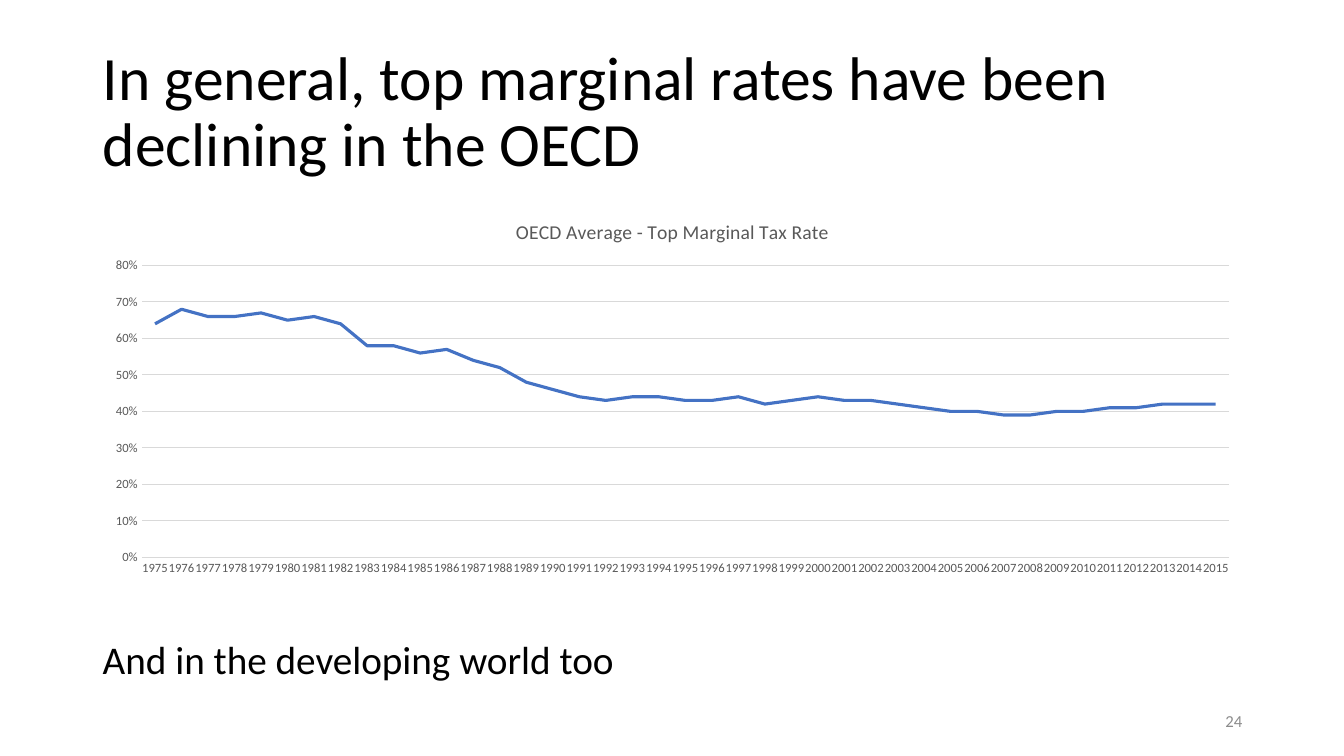
import pptx
import pptx.chart.data
import pptx.dml.color
import pptx.enum.chart
import pptx.enum.text
import pptx.util

Inches = pptx.util.Inches
Pt = pptx.util.Pt
RGBColor = pptx.dml.color.RGBColor
Align = pptx.enum.text.PP_ALIGN
Anchor = pptx.enum.text.MSO_ANCHOR

TITLE = "In general, top marginal rates have been declining in the OECD"
CLOSING = "And in the developing world too"
PAGE_NUMBER = "24"
CHART_TITLE = "OECD Average - Top Marginal Tax Rate"
FIRST_YEAR = 1975
RATES = [
    0.64, 0.68, 0.66, 0.66, 0.67, 0.65, 0.66, 0.64, 0.58, 0.58, 0.56,
    0.57, 0.54, 0.52, 0.48, 0.46, 0.44, 0.43, 0.44, 0.44, 0.43,
    0.43, 0.44, 0.42, 0.43, 0.44, 0.43, 0.43, 0.42, 0.41, 0.40,
    0.40, 0.39, 0.39, 0.40, 0.40, 0.41, 0.41, 0.42, 0.42, 0.42,
]

FONT = "Calibri"
BLACK = RGBColor(0, 0, 0)
GRAY = RGBColor(0x59, 0x59, 0x59)
PALE_GRAY = RGBColor(0x8C, 0x8C, 0x8C)
GRID = RGBColor(0xD9, 0xD9, 0xD9)
BLUE = RGBColor(0x44, 0x72, 0xC4)
LEFT, WIDTH = 0.92, 11.5


def style_font(font, size, color):
    font.name = FONT
    font.size = Pt(size)
    font.bold = False
    font.color.rgb = color


def style_line(line, color, width):
    line.color.rgb = color
    line.width = Pt(width)


def fill_text(box, text, size, color, align=Align.LEFT, anchor=Anchor.MIDDLE):
    frame = box.text_frame
    frame.text = text
    frame.word_wrap = True
    frame.vertical_anchor = anchor
    para = frame.paragraphs[0]
    para.alignment = align
    style_font(para.runs[0].font, size, color)
    return para


deck = pptx.Presentation()
deck.slide_width, deck.slide_height = Inches(13.33), Inches(7.5)
page = deck.slides.add_slide(deck.slide_layouts.get_by_name("Title Only"))

title = page.shapes.title
title.left, title.top = Inches(LEFT), Inches(0.4)
title.width, title.height = Inches(WIDTH), Inches(1.45)
title_para = fill_text(title, TITLE, 44, BLACK)
title_para.line_spacing = 0.9
title.text_frame.auto_size = pptx.enum.text.MSO_AUTO_SIZE.NONE

number_box = page.shapes.add_textbox(Inches(9.42), Inches(6.95), Inches(3), Inches(0.4))
fill_text(number_box, PAGE_NUMBER, 12, PALE_GRAY, align=Align.RIGHT)

chart_data = pptx.chart.data.CategoryChartData(number_format="0%")
chart_data.categories = [str(FIRST_YEAR + index) for index in range(len(RATES))]
chart_data.add_series("Series 1", RATES)
chart = page.shapes.add_chart(
    pptx.enum.chart.XL_CHART_TYPE.LINE,
    Inches(LEFT), Inches(2), Inches(WIDTH), Inches(3.79), chart_data,
).chart
style_font(chart.font, 10, BLACK)
chart.has_legend = False
chart.has_title = True
chart.chart_title.include_in_layout = False
chart_heading = chart.chart_title.text_frame
chart_heading.text = CHART_TITLE
style_font(chart_heading.paragraphs[0].runs[0].font, 14, GRAY)

for axis in (chart.category_axis, chart.value_axis):
    style_font(axis.tick_labels.font, 9, GRAY)
    axis.major_tick_mark = pptx.enum.chart.XL_TICK_MARK.NONE
    axis.minor_tick_mark = pptx.enum.chart.XL_TICK_MARK.NONE
    label_body = axis._element.txPr.bodyPr
    label_body.set("rot", "-60000000")
    label_body.set("vert", "horz")

style_line(chart.category_axis.format.line, GRID, 0.75)
rate_axis = chart.value_axis
rate_axis.minimum_scale, rate_axis.maximum_scale, rate_axis.major_unit = 0, 0.8, 0.1
rate_axis.tick_labels.number_format = "0%"
rate_axis.tick_labels.number_format_is_linked = False
rate_axis.format.line.fill.background()
style_line(rate_axis.major_gridlines.format.line, GRID, 0.75)

plot = chart.plots[0]
plot.vary_by_categories = False
rate_series = plot.series[0]
rate_series.smooth = False
rate_series.marker.style = pptx.enum.chart.XL_MARKER_STYLE.NONE
style_line(rate_series.format.line, BLUE, 2.25)

closing_box = page.shapes.add_textbox(Inches(LEFT), Inches(6.25), Inches(8.8), Inches(0.57))
fill_text(closing_box, CLOSING, 28, BLACK, anchor=Anchor.TOP)
closing_box.text_frame.auto_size = pptx.enum.text.MSO_AUTO_SIZE.SHAPE_TO_FIT_TEXT

deck.save("out.pptx")
